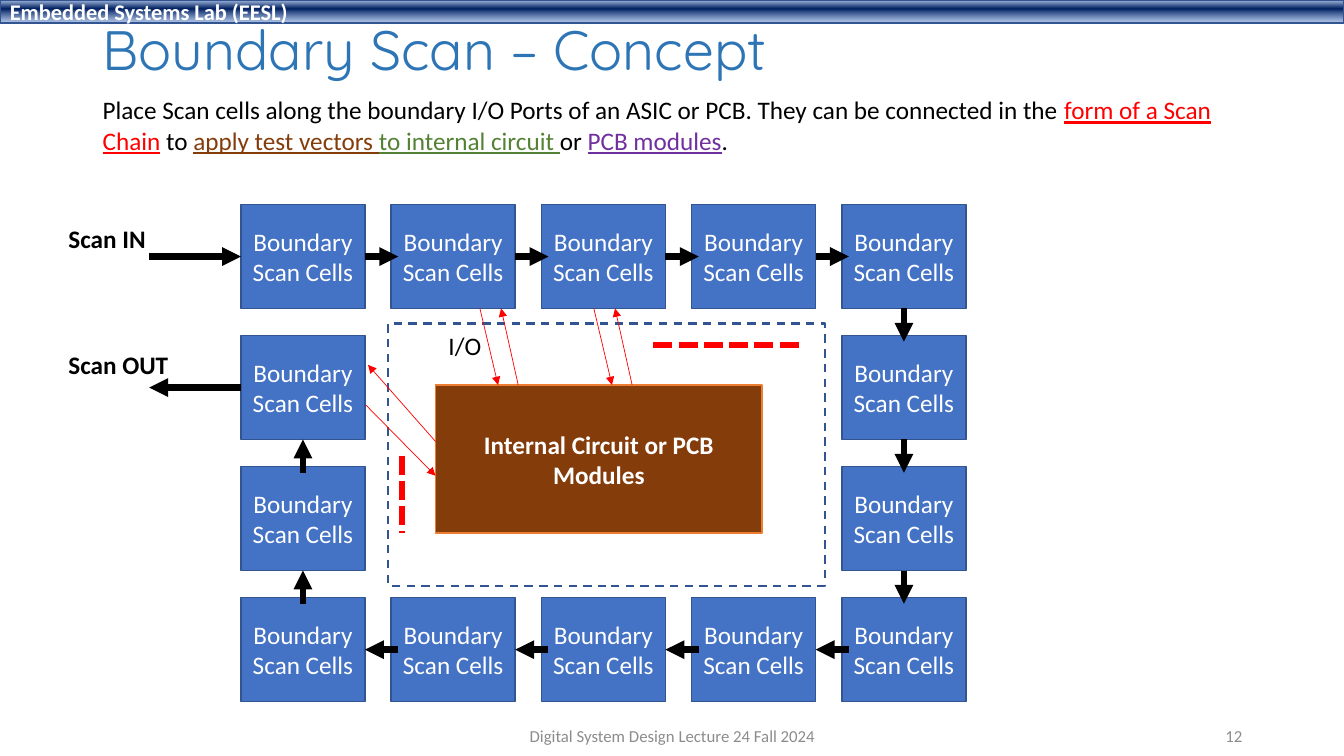
from itertools import pairwise

from lxml import etree
from pptx import Presentation
from pptx.dml.color import RGBColor
from pptx.enum import dml, shapes, text
from pptx.oxml.ns import qn
from pptx.util import Inches, Pt

BLACK, WHITE, RED, GREY = "000000", "FFFFFF", "FF0000", "8C8C8C"
BLUE, NAVY, BROWN = "4472C4", "325491", "843C0B"
TOP, LEFT, BOTTOM, RIGHT = range(4)
CELL_WIDTH, CELL_HEIGHT = 1.23, 1.03
COLUMN_PITCH, ROW_PITCH = 1.49, 1.3
CHAIN_ARROW = 0.33


def color(value):
    """Turn a hex string into a colour."""
    return RGBColor.from_string(value)


def write(shape, paragraphs, size, align=None, bold=None, font="Calibri", anchor="MIDDLE", wrap=True):
    """Fill a shape with paragraphs, each a list of (words, colour, underline)."""
    frame = shape.text_frame
    frame.word_wrap = wrap
    frame.vertical_anchor = getattr(text.MSO_ANCHOR, anchor)
    for index, runs in enumerate(paragraphs):
        paragraph = frame.add_paragraph() if index else frame.paragraphs[0]
        paragraph.alignment = getattr(text.PP_ALIGN, align or "LEFT")
        paragraph.font.size, paragraph.font.name, paragraph.font.bold = Pt(size), font, bold
        if len(runs) == 1:
            paragraph.font.color.rgb = color(runs[0][1])
        for words, hue, underline in runs:
            run = paragraph.add_run()
            run.text = words
            if len(runs) > 1:
                run.font.color.rgb = color(hue)
                run.font.underline = underline
    return frame


def add_label(slide, box, words, size=18, hue=BLACK, **style):
    """Add a one-paragraph text box."""
    label = slide.shapes.add_textbox(*map(Inches, box))
    return write(label, [[(words, hue, False)]], size, **style)


def add_block(slide, box, fill, line, words="", width=1, bold=None, align="CENTER", size=18):
    """Add an outlined rectangle with optional white words."""
    block = slide.shapes.add_shape(shapes.MSO_SHAPE.RECTANGLE, *map(Inches, box))
    block.shadow.inherit = False
    if fill:
        block.fill.solid()
        block.fill.fore_color.rgb = color(fill)
    else:
        block.fill.background()
    block.line.color.rgb = color(line)
    block.line.width = Pt(width)
    if words:
        write(block, [[(words, WHITE, False)]], size, align, bold)
    return block


def add_line(slide, start, end, hue=BLACK, width=4.5, arrow=True):
    """Draw a straight line from start to end, with an arrowhead unless told not to."""
    line = slide.shapes.add_connector(shapes.MSO_CONNECTOR.STRAIGHT, *map(Inches, (*start, *end)))
    line.line.color.rgb = color(hue)
    line.line.width = Pt(width)
    if arrow:
        etree.SubElement(line.line._get_or_add_ln(), qn("a:tailEnd"), type="triangle")
    etree.SubElement(line._element.spPr, qn("a:effectLst"))
    return line


def add_banner(slide, box):
    """Add the gradient strip that names the lab."""
    banner = add_block(slide, box, BLUE, NAVY, "Embedded Systems Lab (EESL)", bold=True, align="LEFT", size=16)
    banner.fill.gradient()
    banner.fill.gradient_angle = 270
    stops = banner._element.spPr.find(qn("a:gradFill")).find(qn("a:gsLst"))
    for stop in list(stops):
        stops.remove(stop)
    for position, hue, alpha in ((2, "ABC0E4", 100), (38, "002060", 100), (93, "7E9ED6", 64)):
        stop = etree.SubElement(stops, qn("a:gs"), pos=str(position * 1000))
        shade = etree.SubElement(stop, qn("a:srgbClr"), val=hue)
        if alpha < 100:
            etree.SubElement(shade, qn("a:alpha"), val=str(alpha * 1000))


def add_heading(slide, box):
    """Add the title and the two-line explanation below it."""
    left, top, width, height = box
    title = add_label(slide, (left, top, width, 0.75), "Boundary Scan – Concept", 39.6, "2E75B6", font="Quicksand")
    title.paragraphs[0].line_spacing = 0.9
    lines = [
        [("Place Scan cells along the boundary I/O Ports of an ASIC or PCB. "
          "They can be connected in the ", BLACK, False), ("form of a Scan", RED, True)],
        [("Chain", RED, True), (" to ", BLACK, False), ("apply test vectors ", BROWN, True),
         ("to internal circuit ", "548235", True), ("or ", BLACK, False),
         ("PCB modules", "7030A0", True), (".", BLACK, False)],
    ]
    explanation = slide.shapes.add_textbox(*map(Inches, (left, top + 0.74, width, height - 0.74)))
    write(explanation, lines, 18, anchor="TOP", wrap=False)


def add_scan_chain(slide, left, top):
    """Add the ring of scan cells, the arrows along it and its input and output."""
    places = [(column, 0) for column in range(5)] + [(4, row) for row in (1, 2, 3)]
    places += [(column, 3) for column in (3, 2, 1, 0)] + [(0, 2), (0, 1)]
    cells = []
    for column, row in places:
        x, y = left + column * COLUMN_PITCH, top + row * ROW_PITCH
        box = (x, y, CELL_WIDTH, CELL_HEIGHT)
        cells.append((add_block(slide, box, BLUE, NAVY, "Boundary Scan Cells"), column, row, x, y))

    for (source, column, row, x, y), (target, next_column, next_row, next_x, next_y) in pairwise(cells):
        across, down = next_column - column, next_row - row
        if across + down > 0:
            start = (x + CELL_WIDTH, y + CELL_HEIGHT / 2) if across else (x + CELL_WIDTH / 2, y + CELL_HEIGHT)
            end = (start[0] + across * CHAIN_ARROW, start[1] + down * CHAIN_ARROW)
            add_line(slide, start, end).begin_connect(source, RIGHT if across else BOTTOM)
        else:
            end = ((next_x + CELL_WIDTH, next_y + CELL_HEIGHT / 2) if across
                   else (next_x + CELL_WIDTH / 2, next_y + CELL_HEIGHT))
            start = (end[0] - across * CHAIN_ARROW, end[1] - down * CHAIN_ARROW)
            add_line(slide, start, end).end_connect(target, RIGHT if across else BOTTOM)

    port = left - 0.91
    first, last = cells[0], cells[-1]
    in_y, out_y = first[4] + CELL_HEIGHT / 2, last[4] + CELL_HEIGHT / 2
    add_line(slide, (port, in_y), (left, in_y)).end_connect(first[0], LEFT)
    add_line(slide, (left, out_y), (port, out_y)).begin_connect(last[0], LEFT)
    for words, y, width in (("Scan OUT", top + 1.39, 1.2), ("Scan IN", top + 0.14, 0.98)):
        add_label(slide, (left - 1.81, y, width, 0.4), words, bold=True, anchor="TOP", wrap=False)


def add_circuit_frame(slide, box):
    """Add the dashed outline around the circuit."""
    frame = add_block(slide, box, None, NAVY, width=1.5)
    frame.line.dash_style = dml.MSO_LINE.DASH


def add_circuit(slide, box):
    """Add the internal circuit with its I/O arrows and continuation dots."""
    left, top, width, height = box
    add_block(slide, box, BROWN, "ED7D31", "Internal Circuit or PCB Modules", bold=True)
    arrows = [((left - 0.69, top + 0.2), (left, top + 0.9)), ((left, top + 0.56), (left - 0.67, top - 0.2))]
    for x in (left + 0.44, left + 1.57):
        arrows += [((x, top - 0.76), (x + 0.18, top)), ((x + 0.38, top), (x + 0.21, top - 0.76))]
    for start, end in arrows:
        add_line(slide, start, end, RED, 0.5)
    for start, end in (((left + 2.16, top - 0.4), (left + 3.65, top - 0.4)),
                       ((left - 0.33, top + 0.7), (left - 0.33, top + height))):
        dots = add_line(slide, start, end, RED, arrow=False)
        dots.line.dash_style = dml.MSO_LINE.SQUARE_DOT
    add_label(slide, (left + 0.03, top - 0.59, 0.53, 0.4), "I/O", anchor="TOP", wrap=False)


def add_footer(slide, box):
    """Add the lecture name and the slide number."""
    left, top, width, height = box
    add_label(slide, (left, top, 4.5, height), "Digital System Design Lecture 24 Fall 2024", 12, GREY, align="CENTER")
    add_label(slide, (left + width - 3, top, 3, height), "12", 12, GREY, align="RIGHT")


def main():
    """Build the slide and save it."""
    presentation = Presentation()
    presentation.slide_width, presentation.slide_height = Inches(13.33), Inches(7.5)
    slide = presentation.slides.add_slide(presentation.slide_layouts[6])
    add_banner(slide, (0, 0, 13.33, 0.23))
    add_circuit_frame(slide, (3.85, 3.21, 4.33, 2.6))
    add_heading(slide, (0.92, 0.15, 11.5, 1.45))
    add_scan_chain(slide, 2.39, 2.03)
    add_circuit(slide, (4.32, 3.82, 3.24, 1.47))
    add_footer(slide, (4.42, 7.1, 8, 0.4))
    presentation.save("out.pptx")


if __name__ == "__main__":
    main()
